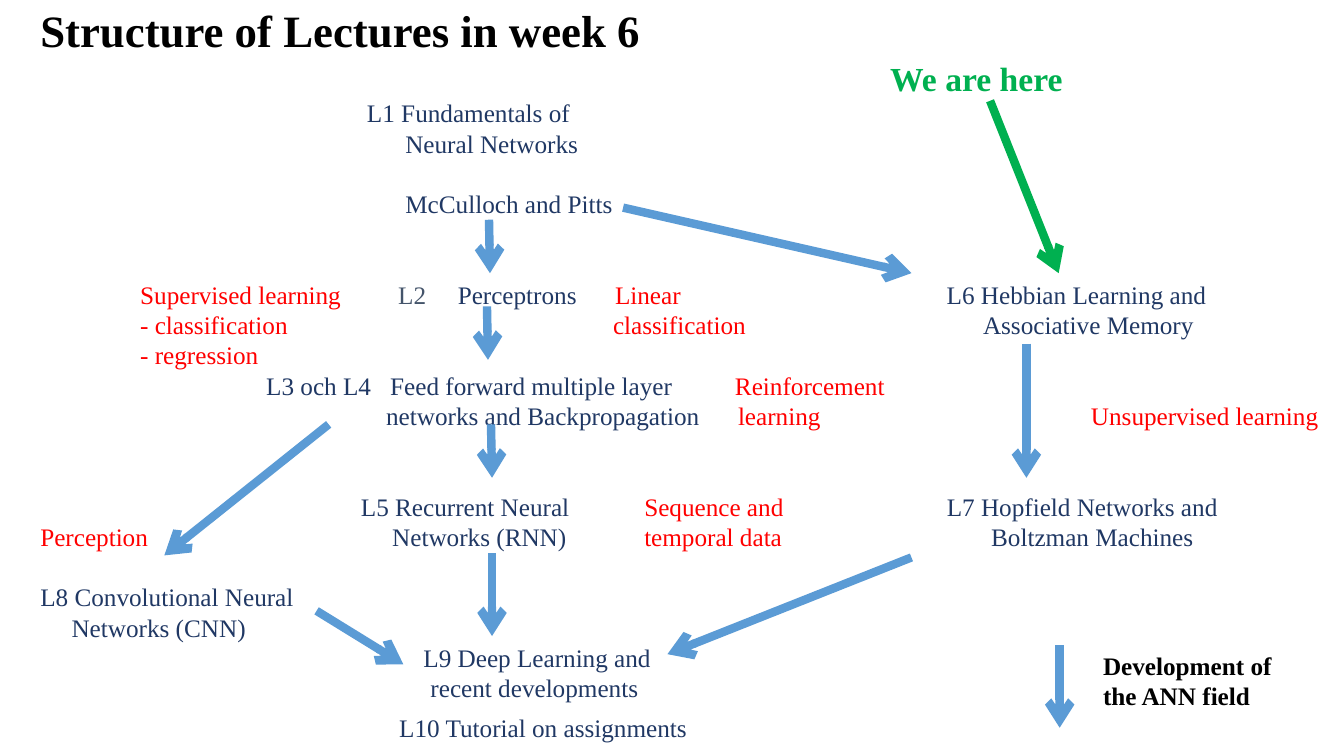
import pptx
import pptx.util
import pptx.dml.color
import pptx.enum.shapes
import lxml.etree
from dataclasses import dataclass

Inches = pptx.util.Inches


@dataclass(frozen=True)
class Theme:
    """Colours, type sizes and line weight."""
    font: str = "Times New Roman"
    black: str = "000000"
    navy: str = "203864"
    slate: str = "44546A"
    red: str = "FF0000"
    green: str = "00B050"
    blue: str = "5B9BD5"
    title: int = 32
    call: int = 24
    body: int = 18
    stroke: int = 6


T = Theme()
WIDE, HIGH = 13.33, 7.5
ROW = 0.3   # height of one line of body text
TOP = 0.97  # top of the first row of the diagram


def color(code):
    """Turn a hex code into a colour."""
    return pptx.dml.color.RGBColor.from_string(code)


def note(slide, box, x, y, lines, ink=T.navy, size=T.body, bold=False):
    """Add lines of text, each with its indent, at x, y in the box."""
    left, top = box[0] + x, box[1] + y
    need = max(len(text) for text, _ in lines) * size / 150 + 0.1
    wide = min(need, WIDE - left)
    high = len(lines) * size / 60
    shape = slide.shapes.add_textbox(
        Inches(left), Inches(top), Inches(wide), Inches(high))
    frame = shape.text_frame
    frame.word_wrap = True
    frame.margin_left = frame.margin_right = 0
    frame.margin_top = frame.margin_bottom = 0
    for num, (text, indent) in enumerate(lines):
        para = frame.add_paragraph() if num else frame.paragraphs[0]
        if indent:
            para._p.get_or_add_pPr().set("marL", str(Inches(indent)))
        run = para.add_run()
        run.text = text
        run.font.name = T.font
        run.font.size = pptx.util.Pt(size)
        run.font.bold = bold
        run.font.color.rgb = color(ink)


def notes(slide, box, items):
    """Add body notes given as x, row, colour and lines."""
    for x, row, ink, lines in items:
        note(slide, box, x, row * ROW, lines, ink)


def arrow(slide, box, ends, ink=T.blue):
    """Draw an arrow between two points in the box."""
    x1, y1, x2, y2 = ends
    line = slide.shapes.add_connector(
        pptx.enum.shapes.MSO_CONNECTOR.STRAIGHT,
        Inches(box[0] + x1), Inches(box[1] + y1),
        Inches(box[0] + x2), Inches(box[1] + y2))
    line.line.color.rgb = color(ink)
    line.line.width = pptx.util.Pt(T.stroke)
    tag = pptx.oxml.ns.qn
    tail = lxml.etree.SubElement(line.line._get_or_add_ln(), tag("a:tailEnd"))
    tail.set("type", "arrow")
    lxml.etree.SubElement(line._element.spPr, tag("a:effectLst"))


def arrows(slide, box, items):
    """Draw several arrows."""
    for ends in items:
        arrow(slide, box, ends)


def head(slide, box):
    """Title and the green pointer."""
    note(slide, box, 0, 0, [("Structure of Lectures in week 6", 0)],
         T.black, T.title, True)
    note(slide, box, 8.43, 0.54, [("We are here", 0)], T.green, T.call, True)
    arrow(slide, box, (9.42, 0.97, 10.1, 2.68), T.green)


def middle(slide, box):
    """Main line of lectures, from L1 down to L10."""
    notes(slide, box, [
        (1.04, 0, T.navy, [("L1 Fundamentals of", 0),
                           ("Neural Networks", 0.38)]),
        (1.42, 3, T.navy, [("McCulloch and Pitts", 0)]),
        (1.35, 6, T.slate, [("L2", 0)]),
        (1.94, 6, T.navy, [("Perceptrons", 0)]),
        (3.48, 6, T.red, [("Linear", 0.02), ("classification", 0)]),
        (0.04, 9, T.navy, [("L3 och L4", 0)]),
        (1.23, 9, T.navy, [("Feed forward multiple layer", 0.04),
                           ("networks and Backpropagation", 0)]),
        (4.69, 9, T.red, [("Reinforcement", 0), ("learning", 0.03)]),
        (0.98, 13, T.navy, [("L5 Recurrent Neural", 0),
                            ("Networks (RNN)", 0.31)]),
        (3.79, 13, T.red, [("Sequence and", 0), ("temporal data", 0)]),
        (1.6, 18, T.navy, [("L9 Deep Learning and", 0),
                           ("recent developments", 0.07)]),
        (1.36, 20.33, T.navy, [("L10 Tutorial on assignments", 0)]),
    ])
    arrows(slide, box, [
        (2.25, 1.21, 2.26, 1.74), (2.23, 2.07, 2.24, 2.6),
        (2.27, 3.24, 2.28, 3.77), (2.28, 4.52, 2.28, 5.34),
        (3.58, 1.09, 6.44, 1.74),
    ])


def left(slide, box):
    """Supervised learning and the perception branch."""
    notes(slide, box, [
        (0.99, 6, T.red, [("Supervised learning", 0),
                          ("- classification", 0), ("- regression", 0)]),
        (0, 14, T.red, [("Perception", 0)]),
        (0, 16, T.navy, [("L8 Convolutional Neural", 0),
                         ("Networks (CNN)", 0.31)]),
    ])
    arrows(slide, box, [(2.86, 3.24, 1.23, 4.54), (2.74, 5.09, 3.6, 5.62)])


def right(slide, box):
    """Unsupervised learning branch."""
    notes(slide, box, [
        (0, 6, T.navy, [("L6 Hebbian Learning and", 0),
                        ("Associative Memory", 0.36)]),
        (1.43, 10, T.red, [("Unsupervised learning", 0)]),
        (0, 13, T.navy, [("L7 Hopfield Networks and", 0),
                         ("Boltzman Machines", 0.44)]),
    ])
    arrows(slide, box, [(0.79, 2.44, 0.79, 3.77), (-0.35, 4.56, -2.77, 5.52)])


def legend(slide, box):
    """Meaning of the blue arrows."""
    arrow(slide, box, (0, 0, 0, 0.82))
    note(slide, box, 0.43, 0.05,
         [("Development of", 0), ("the ANN field", 0)], T.black, bold=True)


def main():
    """Build the slide and save it."""
    deck = pptx.Presentation()
    deck.slide_width, deck.slide_height = Inches(WIDE), Inches(HIGH)
    slide = deck.slides.add_slide(deck.slide_layouts[6])
    head(slide, (0.4, 0.03))
    middle(slide, (2.6, TOP))
    left(slide, (0.4, TOP))
    right(slide, (9.39, TOP))
    legend(slide, (10.51, 6.4))
    deck.save("out.pptx")


main()
